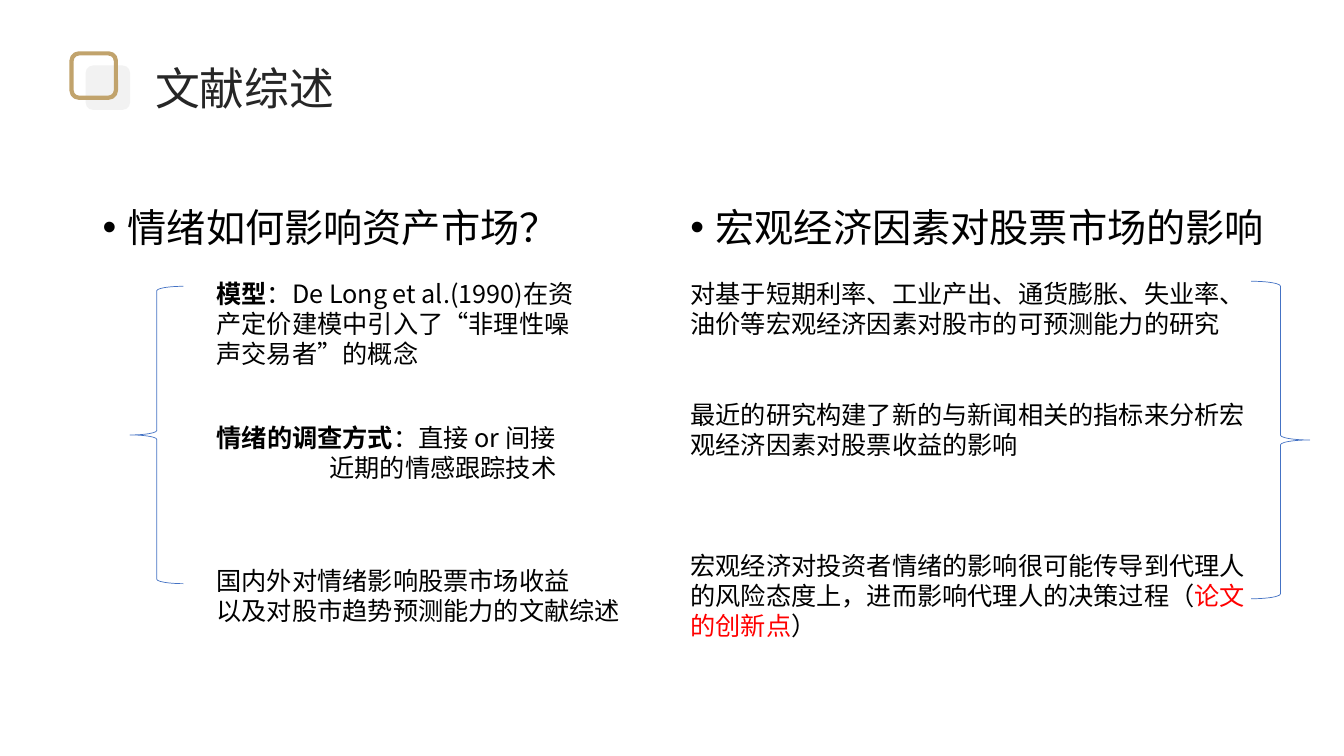
from lxml import etree
from pptx import Presentation
from pptx.dml.color import RGBColor
from pptx.enum import lang, shapes
from pptx.oxml import ns
from pptx.util import Inches, Pt

FONT = "Noto Sans CJK SC"
COLORS = {"text": "000000", "title": "262626", "accent": "FF0000",
          "gold": "C1A36C", "pale": "F2F2F2", "brace": "4472C4"}


def rgb(name):
    return RGBColor.from_string(COLORS[name])


def add_bullet(paragraph):
    props = paragraph._p.get_or_add_pPr()
    props.set("marL", str(Inches(0.25)))
    props.set("indent", str(Inches(-0.25)))
    etree.SubElement(props, ns.qn("a:buFont")).set("typeface", "Arial")
    etree.SubElement(props, ns.qn("a:buChar")).set("char", "•")


def add_text(slide, box, paragraphs, size=18, color="text", leading=1.2,
             gaps=(), bullet=False):
    """Each paragraph is a list of (wording, style) runs; gaps are points before."""
    frame = slide.shapes.add_textbox(*map(Inches, box)).text_frame
    frame.word_wrap = True
    for i, runs in enumerate(paragraphs):
        paragraph = frame.paragraphs[0] if i == 0 else frame.add_paragraph()
        if bullet:
            add_bullet(paragraph)
        if i and gaps:
            paragraph.space_before = Pt(gaps[i - 1])
        paragraph.line_spacing = Pt(round(size * leading, 1))
        font = paragraph.font
        font.size = Pt(size)
        font.color.rgb = rgb(color)
        font.name = FONT
        etree.SubElement(font._element, ns.qn("a:ea")).set("typeface", FONT)
        for wording, style in runs:
            run = paragraph.add_run()
            run.text = wording
            run.font.language_id = lang.MSO_LANGUAGE_ID.SIMPLIFIED_CHINESE
            if style == "bold":
                run.font.bold = True
            elif style:
                run.font.color.rgb = rgb(style)
    return frame


def add_outline(slide, preset, box, fill=None, line=None, width=0.5):
    shape = slide.shapes.add_shape(preset, *map(Inches, box))
    shape.shadow.inherit = False
    if fill:
        shape.fill.solid()
        shape.fill.fore_color.rgb = rgb(fill)
    else:
        shape.fill.background()
    if line:
        shape.line.color.rgb = rgb(line)
        shape.line.width = Pt(width)
    else:
        shape.line.fill.background()


def add_title(slide):
    square = shapes.MSO_SHAPE.ROUNDED_RECTANGLE
    add_text(slide, (1.44, 0.55, 2.2, 0.64), [[("文献综述", None)]], 32, "title")
    add_outline(slide, square, (0.85, 0.65, 0.44, 0.44), fill="pale")
    add_outline(slide, square, (0.71, 0.53, 0.44, 0.44), line="gold", width=3)


def add_sentiment_column(slide):
    add_outline(slide, shapes.MSO_SHAPE.LEFT_BRACE, (1.29, 2.84, 0.53, 2.95),
                line="brace")
    add_text(slide, (2.05, 2.71, 3.8, 1.01), [[
        ("模型", "bold"),
        ("：De Long et al.(1990)在资产定价建模中引入了“非理性噪声交易者”的概念", None)]])
    survey = add_text(slide, (2.05, 4.14, 4.01, 0.71), [
        [("情绪的调查方式", "bold"), ("：直接 or 间接", None)],
        [("近期的情感跟踪技术", None)]])
    survey.paragraphs[1]._p.get_or_add_pPr().set("marL", str(Inches(1.12)))
    add_text(slide, (2.05, 5.56, 4.3, 0.71), [
        [("国内外对情绪影响股票市场收益", None)],
        [("以及对股市趋势预测能力的文献综述", None)]])


def add_macro_column(slide):
    add_text(slide, (6.75, 2.71, 5.9, 3.73), [
        [("对基于短期利率、工业产出、通货膨胀、失业率、油价等宏观经济因素对股市的可预测能力的研究", None)],
        [("最近的研究构建了新的与新闻相关的指标来分析宏观经济因素对股票收益的影响", None)],
        [("宏观经济对投资者情绪的影响很可能传导到代理人的风险态度上，进而影响代理人的决策过程（", None),
         ("论文的创新点", "accent"), ("）", None)]], gaps=(43.2, 64.8))
    add_outline(slide, shapes.MSO_SHAPE.RIGHT_BRACE, (12.41, 2.79, 0.58, 3.15),
                line="brace")


def main():
    deck = Presentation()
    deck.slide_width, deck.slide_height = Inches(13.33), Inches(7.5)
    slide = deck.slides.add_slide(deck.slide_layouts[6])
    for left, width, heading in ((0.92, 5.67, "情绪如何影响资产市场？"),
                                 (6.75, 6.03, "宏观经济因素对股票市场的影响")):
        add_text(slide, (left, 2.02, width, 0.6), [[(heading, None)]], 28,
                 leading=1.08, bullet=True)
    add_title(slide)
    add_sentiment_column(slide)
    add_macro_column(slide)
    deck.save("out.pptx")


if __name__ == "__main__":
    main()
